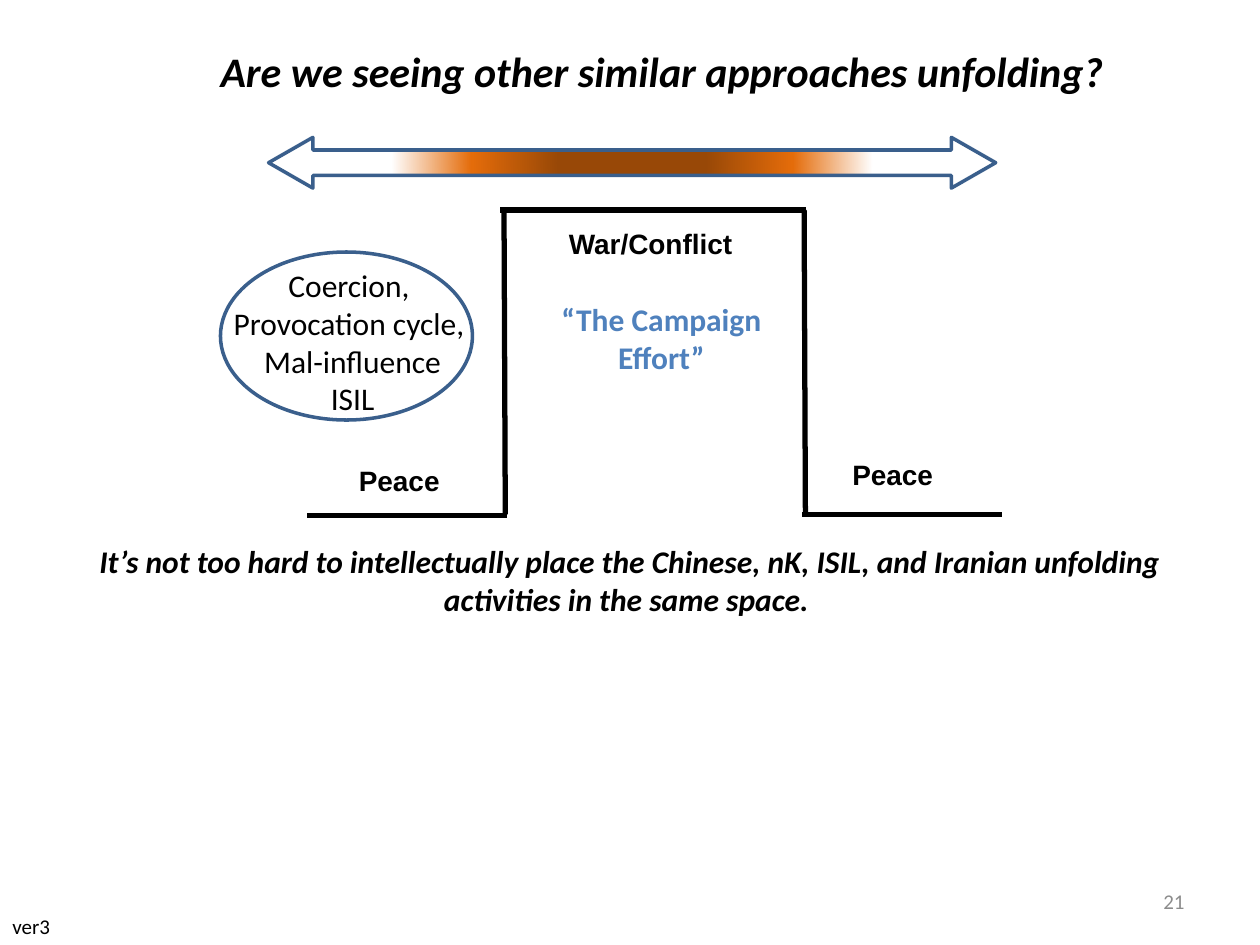
from lxml.etree import SubElement as Sub
from pptx import Presentation
from pptx.dml.color import RGBColor as RGB
from pptx.enum.shapes import MSO_CONNECTOR as Link, MSO_SHAPE as Kind
from pptx.enum.text import MSO_ANCHOR as Anchor, PP_ALIGN as Align
from pptx.oxml.ns import qn
from pptx.util import Pt

BLACK = RGB(0, 0, 0)
GRAY = RGB(0x8C, 0x8C, 0x8C)
BLUE = RGB(0x4F, 0x81, 0xBD)
NAVY = RGB(0x3A, 0x5F, 0x8C)
BROWN = RGB(0x98, 0x48, 0x07)
ORANGE = RGB(0xE4, 0x6C, 0x0A)
WHITE = RGB(0xFF, 0xFF, 0xFF)


class Board:
    font = "Calibri"
    size = 18
    thick = 3
    edge = 2

    def __init__(self, slide):
        self.slide = slide

    def text(self, words, box, size=None, font=None, color=BLACK, bold=False,
             slant=False, align=Align.LEFT, anchor=Anchor.TOP, wrap=False):
        """Add a text box; each line of words is a paragraph."""
        frame = self.slide.shapes.add_textbox(*map(Pt, box)).text_frame
        frame.word_wrap = wrap
        frame.vertical_anchor = anchor
        frame.text = words
        for para in frame.paragraphs:
            para.alignment = align
            face = para.runs[0].font
            face.name = font or self.font
            face.size = Pt(size or self.size)
            face.bold, face.italic = bold, slant
            face.color.rgb = color

    def line(self, *ends):
        link = self.slide.shapes.add_connector(Link.STRAIGHT, *map(Pt, ends))
        link.line.color.rgb = BLACK
        link.line.width = Pt(self.thick)
        Sub(link._element.spPr, qn("a:effectLst"))

    def shape(self, kind, box):
        """Add an unfilled outline shape."""
        shape = self.slide.shapes.add_shape(kind, *map(Pt, box))
        shape.shadow.inherit = False
        shape.fill.background()
        shape.line.color.rgb = NAVY
        shape.line.width = Pt(self.edge)
        return shape

    def glow(self, shape, stops):
        """Fill a shape with a gradient that spreads from its centre."""
        shape.fill.gradient()
        grad = shape._element.spPr.find(qn("a:gradFill"))
        for part in list(grad):
            grad.remove(part)
        marks = Sub(grad, qn("a:gsLst"))
        for pos, color in stops:
            mark = Sub(marks, qn("a:gs"), pos=str(pos * 1000))
            Sub(mark, qn("a:srgbClr"), val=str(color))
        ring = Sub(grad, qn("a:path"), {"path": "circle"})
        Sub(ring, qn("a:fillToRect"), dict.fromkeys("ltrb", "50000"))


def main():
    deck = Presentation()
    deck.slide_width, deck.slide_height = Pt(720), Pt(540)
    board = Board(deck.slides.add_slide(deck.slide_layouts[6]))
    mid = Align.CENTER

    board.text("21", (516, 500.5, 168, 28.75), size=12, color=GRAY,
               align=Align.RIGHT, anchor=Anchor.MIDDLE, wrap=True)
    board.text("Are we seeing other similar approaches unfolding? ",
               (78, 18, 606, 45), size=24, bold=True, slant=True,
               align=mid, anchor=Anchor.MIDDLE, wrap=True)

    for words, left, top, width in (("Peace", 198, 261.5, 61),
                                    ("War/Conflict", 318, 126, 109.5),
                                    ("Peace", 480, 258, 61)):
        board.text(words, (left, top, width, 26.6), size=16, font="Arial",
                   bold=True)

    top, base = 120, 294
    board.line(175.5, base + 0.5, 289.5, base + 0.5)
    board.line(458.5, base, 572.5, base)
    for left in (288, 459.5):
        board.line(left, top, left + 0.75, base)
    board.line(286, top, 460.75, top)

    board.text("“The Campaign \nEffort” ", (313, 168, 134, 51), color=BLUE,
               bold=True, align=mid)

    arrow = board.shape(Kind.LEFT_RIGHT_ARROW, (153.5, 78.5, 415.5, 29))
    arrow.adjustments[0], arrow.adjustments[1] = 0.5, 0.873
    board.glow(arrow, ((20, BROWN), (44, ORANGE), (66, WHITE)))

    board.text("It’s not too hard to intellectually place the Chinese, nK, "
               "ISIL, and Iranian unfolding activities in the same space. ",
               (18, 306, 684, 51), bold=True, slant=True, align=mid, wrap=True)
    board.text("ver3", (0, 518.4, 36, 21.6), size=12)

    board.shape(Kind.OVAL, (126, 144, 144, 96))
    board.text("Coercion, \nProvocation cycle, \nMal-influence\nISIL",
               (125.5, 148.5, 152, 116.5), align=mid)

    deck.save("out.pptx")


if __name__ == "__main__":
    main()
